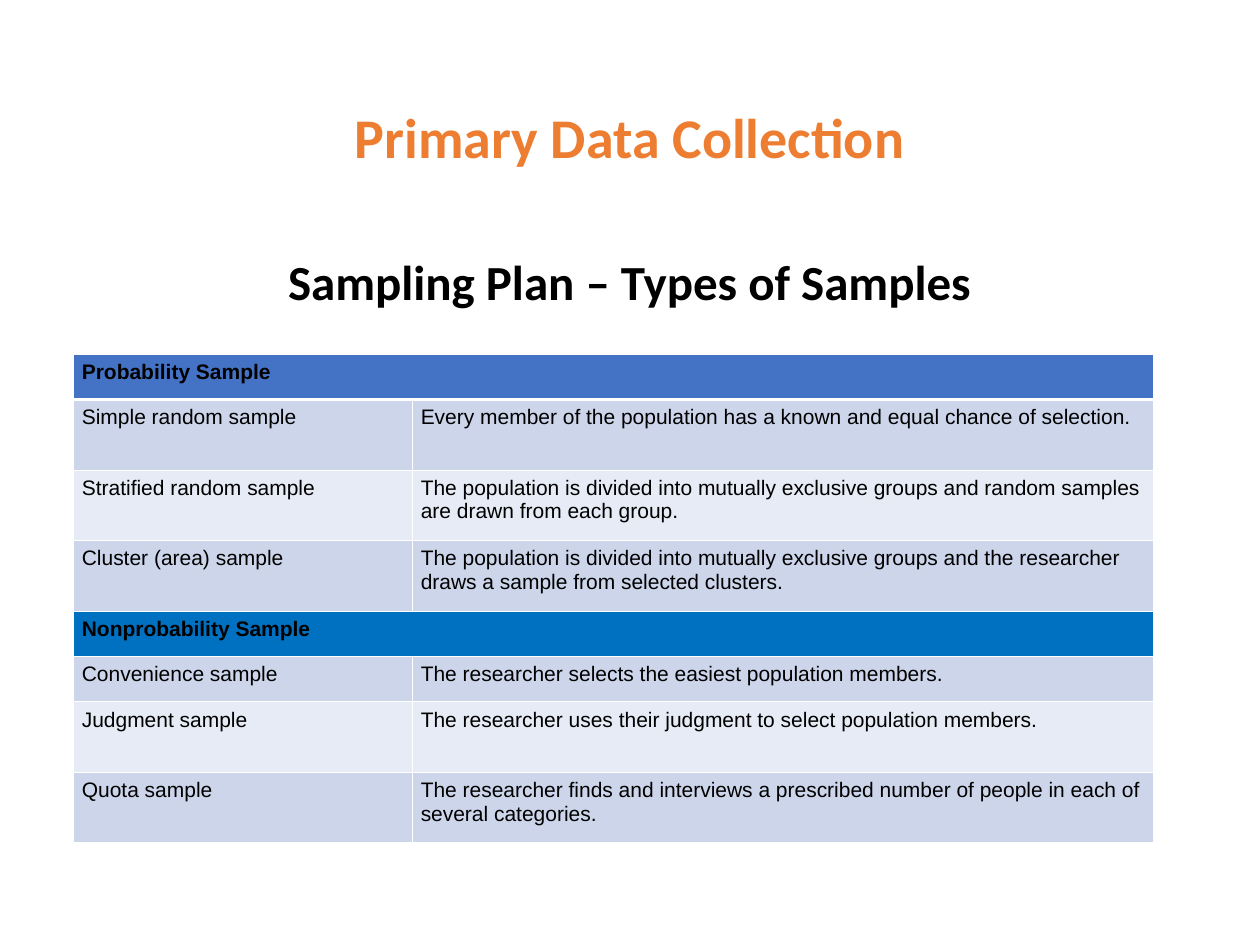
from lxml import etree
from pptx import Presentation
from pptx.dml.color import RGBColor
from pptx.enum.text import MSO_ANCHOR, PP_ALIGN
from pptx.oxml.ns import qn
from pptx.util import Inches, Pt

CENTER = PP_ALIGN.CENTER
TOP, BOTTOM = MSO_ANCHOR.TOP, MSO_ANCHOR.BOTTOM
BLACK, WHITE = "000000", "FFFFFF"
BANDS = ("E7EBF5", "CCD5EA")
HEADINGS = {"Probability Sample": "4472C4", "Nonprobability Sample": "0070C0"}
COLUMN_WIDTHS = (2.69, 5.88)
SHORT, TALL = 0.36, 0.56
SAMPLES = [
    (SHORT, "Probability Sample", ""),
    (TALL, "Simple random sample",
     "Every member of the population has a known and equal chance of selection."),
    (TALL, "Stratified random sample",
     "The population is divided into mutually exclusive groups and random samples "
     "are drawn from each group."),
    (TALL, "Cluster (area) sample",
     "The population is divided into mutually exclusive groups and the researcher "
     "draws a sample from selected clusters."),
    (SHORT, "Nonprobability Sample", ""),
    (SHORT, "Convenience sample",
     "The researcher selects the easiest population members."),
    (TALL, "Judgment sample",
     "The researcher uses their judgment to select population members."),
    (TALL, "Quota sample",
     "The researcher finds and interviews a prescribed number of people in each of "
     "several categories."),
]


def rgb(color):
    return RGBColor.from_string(color)


def format_font(p, name, size, color, bold):
    for r in p.runs:
        r.font.name = name
        r.font.size = Pt(size)
        r.font.color.rgb = rgb(color)
        r.font.bold = bold


def add_heading(s, text, box, size, color, anchor, line_spacing=None):
    tf = s.shapes.add_textbox(*map(Inches, box)).text_frame
    tf.word_wrap = True
    tf.vertical_anchor = anchor
    tf.text = text
    p = tf.paragraphs[0]
    p.alignment = CENTER
    p.line_spacing = line_spacing
    format_font(p, "Calibri", size, color, True)


def set_borders(cell, widths):
    tc_pr = cell._tc.get_or_add_tcPr()
    for i, (side, width) in enumerate(widths.items()):
        ln = etree.Element(qn(f"a:ln{side}"), w=str(Pt(width)))
        fill = etree.SubElement(ln, qn("a:solidFill"))
        etree.SubElement(fill, qn("a:srgbClr"), val=WHITE)
        tc_pr.insert(i, ln)


def format_cell(cell, text, fill, bold, top, bottom):
    cell.margin_left = cell.margin_right = Inches(0.07)
    cell.margin_top = cell.margin_bottom = Inches(0.05)
    cell.fill.solid()
    cell.fill.fore_color.rgb = rgb(fill)
    set_borders(cell, {"L": 0.45, "R": 0.45, "T": top, "B": bottom})
    if text:
        cell.text_frame.text = text
        format_font(cell.text_frame.paragraphs[0], "Arial", 12, BLACK, bold)


def add_sample_table(s):
    width, height = sum(COLUMN_WIDTHS), sum(row[0] for row in SAMPLES)
    table = s.shapes.add_table(len(SAMPLES), len(COLUMN_WIDTHS), Inches(0.58),
                               Inches(2.81), Inches(width), Inches(height)).table
    for column, column_width in zip(table.columns, COLUMN_WIDTHS):
        column.width = Inches(column_width)
    for i, (row_height, *texts) in enumerate(SAMPLES):
        table.rows[i].height = Inches(row_height)
        is_heading = texts[0] in HEADINGS
        fill = HEADINGS.get(texts[0], BANDS[i % 2])
        top = 1.47 if i == 1 else 0.45
        bottom = 1.47 if i == 0 else 0.45
        for j, text in enumerate(texts):
            format_cell(table.cell(i, j), text, fill, is_heading, top, bottom)
        if is_heading:
            table.cell(i, 0).merge(table.cell(i, 1))


def main():
    prs = Presentation()
    prs.slide_width, prs.slide_height = Inches(10), Inches(7.5)
    s = prs.slides.add_slide(prs.slide_layouts[6])
    add_sample_table(s)
    add_heading(s, "Sampling Plan – Types of Samples", (2.06, 2.12, 5.87, 0.44),
                28, BLACK, TOP, Pt(21))
    add_heading(s, "Primary Data Collection", (0.98, 0.76, 8.04, 0.64),
                32, "ED7D31", BOTTOM)
    prs.save("out.pptx")


if __name__ == "__main__":
    main()
